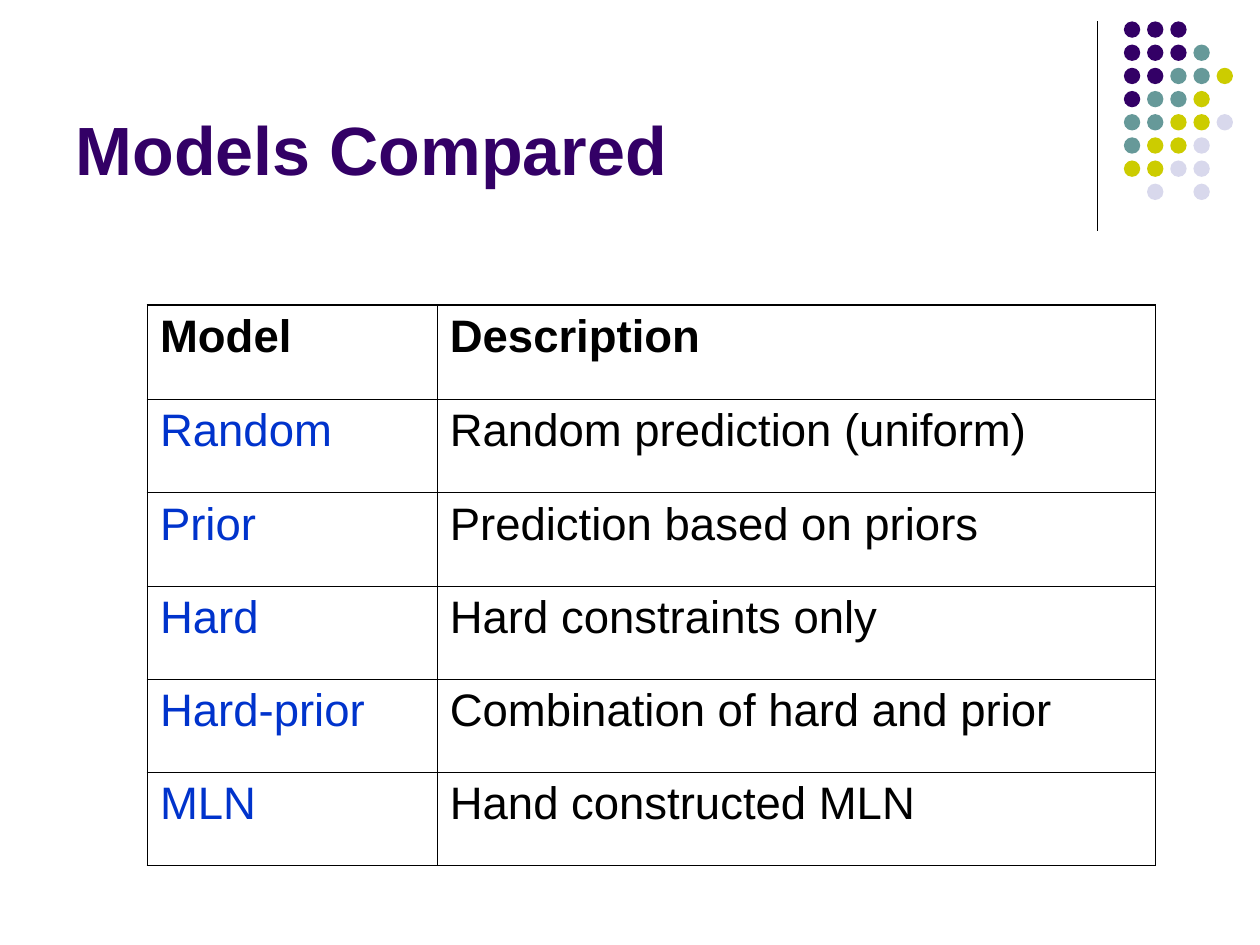
from lxml.etree import SubElement
from pptx import Presentation
from pptx.dml.color import RGBColor
from pptx.enum.shapes import MSO_CONNECTOR, MSO_SHAPE
from pptx.enum.text import MSO_ANCHOR, PP_ALIGN
from pptx.oxml.ns import qn
from pptx.util import Inches, Pt

FONT = "Arial"
BLACK, PURPLE, BLUE = "000000", "330066", "0033CC"
DOT_COLORS = {"P": PURPLE, "T": "669999", "Y": "CCCC00", "L": "D8D8EC"}
DOT_PATTERN = ["PPP", "PPPT", "PPTTY", "PTTY", "TTYYL", "TYYL", "YYLL", " L L"]
DOT_LEFT, DOT_TOP, DOT_PITCH, DOT_SIZE = 8.92, 0.17, 0.18, 0.13

MODELS = [
    ("Model", "Description"),
    ("Random", "Random prediction (uniform)"),
    ("Prior", "Prediction based on priors"),
    ("Hard", "Hard constraints only"),
    ("Hard-prior", "Combination of hard and prior"),
    ("MLN", "Hand constructed MLN"),
]
COLUMN_WIDTHS = (2.3, 5.7)
HEADER_HEIGHT, ROW_HEIGHT = 0.75, 0.74
OUTER_BORDER, INNER_BORDER = 1.08, 0.45


def rgb(color):
    return RGBColor.from_string(color)


def style_paragraph(paragraph, size, color, bold):
    font = paragraph.font
    font.name, font.size, font.bold = FONT, Pt(size), bold
    font.color.rgb = rgb(color)


def add_title(slide, text):
    title = slide.shapes.title
    title.left, title.top = Inches(0.5), Inches(0.13)
    title.width, title.height = Inches(8.25), Inches(1.42)
    frame = title.text_frame
    frame.text = text
    frame.vertical_anchor = MSO_ANCHOR.BOTTOM
    heading = frame.paragraphs[0]
    heading.alignment = PP_ALIGN.LEFT
    style_paragraph(heading, 39, PURPLE, True)


def add_divider(slide):
    divider = slide.shapes.add_connector(
        MSO_CONNECTOR.STRAIGHT,
        Inches(8.71), Inches(0.17), Inches(8.71), Inches(1.83))
    divider.line.color.rgb = rgb(BLACK)
    divider.line.width = Pt(0.75)
    SubElement(divider._element.spPr, qn("a:effectLst"))


def add_dots(slide):
    pitch = DOT_PITCH + 0.004  # the dots sit slightly wider than the round step
    for row, pattern in enumerate(DOT_PATTERN):
        for column, key in enumerate(pattern):
            if key == " ":
                continue
            dot = slide.shapes.add_shape(
                MSO_SHAPE.OVAL,
                Inches(DOT_LEFT + column * pitch), Inches(DOT_TOP + row * pitch),
                Inches(DOT_SIZE), Inches(DOT_SIZE))
            dot.shadow.inherit = False
            dot.fill.solid()
            dot.fill.fore_color.rgb = rgb(DOT_COLORS[key])
            dot.line.fill.background()


def set_borders(cell, widths):
    properties = cell._tc.get_or_add_tcPr()
    for side, width in widths.items():
        border = SubElement(properties, qn(f"a:ln{side}"), w=str(Pt(width)))
        fill = SubElement(border, qn("a:solidFill"))
        SubElement(fill, qn("a:srgbClr"), val=BLACK)


def add_model_table(slide):
    last_row, last_column = len(MODELS) - 1, len(COLUMN_WIDTHS) - 1
    height = HEADER_HEIGHT + last_row * ROW_HEIGHT
    table = slide.shapes.add_table(
        len(MODELS), len(COLUMN_WIDTHS), Inches(1.17), Inches(2.42),
        Inches(sum(COLUMN_WIDTHS)), Inches(height)).table
    table.first_row = table.horz_banding = False
    for column, width in enumerate(COLUMN_WIDTHS):
        table.columns[column].width = Inches(width)

    for row, texts in enumerate(MODELS):
        is_header = row == 0
        table.rows[row].height = Inches(HEADER_HEIGHT if is_header else ROW_HEIGHT)
        for column, text in enumerate(texts):
            cell = table.cell(row, column)
            cell.text = text
            color = BLUE if column == 0 and not is_header else BLACK
            style_paragraph(cell.text_frame.paragraphs[0], 26, color, is_header)
            # Heavy rule around the table, fine rules inside; borders precede fill
            outer = {"L": column == 0, "R": column == last_column,
                     "T": is_header, "B": row == last_row}
            set_borders(cell, {side: OUTER_BORDER if edge else INNER_BORDER
                               for side, edge in outer.items()})
            cell.fill.background()


def main():
    presentation = Presentation()
    presentation.slide_width, presentation.slide_height = Inches(10), Inches(7.5)
    slide = presentation.slides.add_slide(presentation.slide_layouts[5])
    add_divider(slide)
    add_dots(slide)
    add_title(slide, "Models Compared")
    add_model_table(slide)
    presentation.save("out.pptx")


if __name__ == "__main__":
    main()
